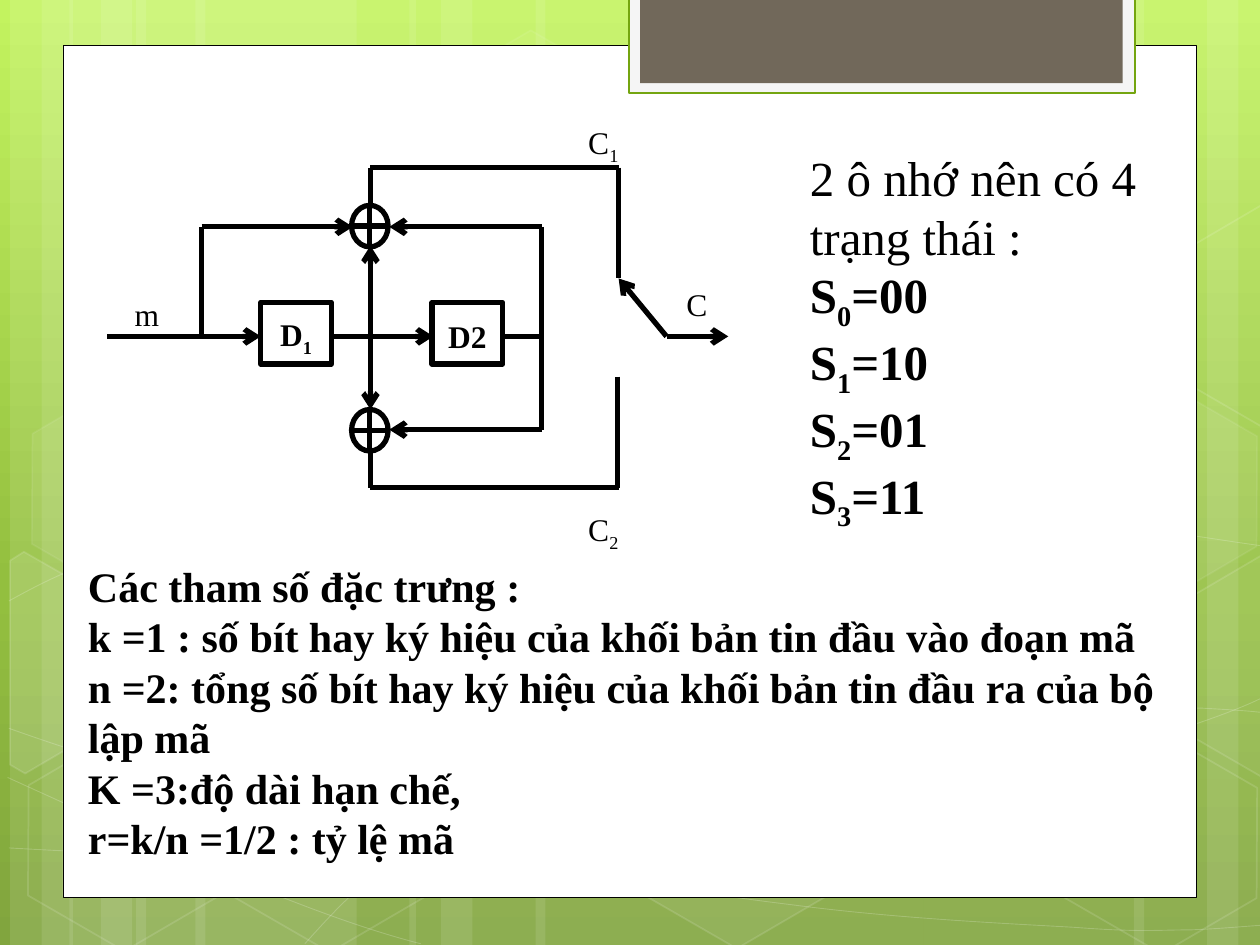
from copy import deepcopy
from dataclasses import dataclass

from lxml.etree import SubElement
from pptx import Presentation
from pptx.dml.color import RGBColor
from pptx.enum.shapes import MSO_CONNECTOR, MSO_SHAPE
from pptx.enum.text import MSO_ANCHOR, MSO_AUTO_SIZE, PP_ALIGN
from pptx.oxml.ns import qn
from pptx.util import Inches, Pt


@dataclass(frozen=True)
class Theme:
    font: str = "Times New Roman"
    ink: RGBColor = RGBColor(0, 0, 0)
    white: RGBColor = RGBColor(255, 255, 255)
    tab_edge: RGBColor = RGBColor.from_string("74A510")
    tab_frame: RGBColor = RGBColor.from_string("F5F5F5")
    tab: RGBColor = RGBColor.from_string("71685A")
    gradient: tuple = ((0, "C3F35F"), (0.62, "93BF3F"), (1, "81A53E"))
    label: int = 18
    parameters: int = 24
    states: int = 28
    wire: int = 3


theme = Theme()


def paint(shape, fill=None, line=None, width=1, fill_alpha=100, line_alpha=100):
    shape.shadow.inherit = False
    for part, color, alpha in ((shape.fill, fill, fill_alpha), (shape.line.fill, line, line_alpha)):
        if color is None or alpha == 0:
            part.background()
            continue
        part.solid()
        part.fore_color.rgb = color
        if alpha < 100:
            rgb = part._xPr.find(qn("a:solidFill"))[0]
            SubElement(rgb, qn("a:alpha"), val=str(alpha * 1000))
    if line is not None:
        shape.line.width = Pt(width)


def write(frame, paragraphs, size):
    """Each paragraph is (bold, runs); every second run is a subscript."""
    for number, (bold, runs) in enumerate(paragraphs):
        paragraph = frame.paragraphs[0] if number == 0 else frame.add_paragraph()
        for position, text in enumerate(runs):
            run = paragraph.add_run()
            run.text = text
            run.font.name = theme.font
            run.font.size = Pt(size)
            run.font.bold = bold
            run.font.color.rgb = theme.ink
            if position % 2:
                run.font._element.set("baseline", "-25000")


prs = Presentation()
prs.slide_width, prs.slide_height = Inches(10), Inches(7.5)
slide = prs.slides.add_slide(prs.slide_layouts[6])
shapes = slide.shapes

# Green gradient background
backdrop = slide.background.fill
backdrop.gradient()
backdrop.gradient_angle = 270
stop_list = slide._element.find(".//" + qn("a:gsLst"))
stop_list.append(deepcopy(stop_list[0]))
for stop, (position, color) in zip(backdrop.gradient_stops, theme.gradient):
    stop.position = position
    stop.color.rgb = RGBColor.from_string(color)

# Translucent vertical bands
for left, width in (
    (1.08, 1.75), (0.08, 0.5), (0.33, 0.83), (1.55, 1.75), (0.55, 0.5), (0.8, 0.83),
    (7.33, 1.75), (9.58, 0.5), (9, 0.83), (4.25, 3.08), (3.25, 0.5), (3.5, 0.83),
):
    band = shapes.add_shape(MSO_SHAPE.RECTANGLE, Inches(left), 0, Inches(width), prs.slide_height)
    paint(band, theme.white, fill_alpha=10)

# Thin arcs: a start point, then cubic segments of two controls and an end
for arc in (
    ((0.07, 6.73), (0.61, 6.76), (1.15, 6.79), (1.9, 6.78), (2.65, 6.77), (3.58, 6.75), (4.58, 6.65),
     (5.58, 6.55), (7, 6.36), (7.92, 6.17), (8.83, 5.98), (9.77, 5.68), (10.07, 5.51)),
    ((0.07, 4.77), (0.36, 4.61), (0.65, 4.46), (1.21, 4.31), (1.78, 4.16), (2.59, 3.94), (3.47, 3.87),
     (4.36, 3.8), (5.44, 3.79), (6.54, 3.87), (7.64, 3.95), (9.47, 4.26), (10.07, 4.34)),
    ((0.06, 6.17), (1.27, 6.72), (2.47, 7.27), (3.34, 7.49)),
    ((0.07, 5.78), (0.38, 5.89), (0.7, 6), (1.28, 6.16), (1.86, 6.31), (2.73, 6.56), (3.57, 6.73),
     (4.4, 6.9), (5.45, 7.08), (6.28, 7.18), (7.11, 7.29), (8, 7.33), (8.53, 7.36),
     (9.05, 7.4), (9.19, 7.38), (9.45, 7.38), (9.71, 7.37), (9.89, 7.35), (10.07, 7.34)),
    ((2.42, 7.49), (2.6, 7.29), (2.78, 7.09), (3.02, 6.91), (3.26, 6.73), (3.6, 6.53), (3.88, 6.39),
     (4.16, 6.25), (4.33, 6.19), (4.7, 6.09), (5.06, 5.99), (5.73, 5.85), (6.08, 5.78),
     (6.44, 5.71), (6.49, 5.71), (6.8, 5.69), (7.11, 5.66), (7.6, 5.63), (7.94, 5.62),
     (8.29, 5.61), (8.86, 5.62), (8.86, 5.62), (9.08, 5.62), (9.31, 5.62), (9.53, 5.62),
     (9.71, 5.63), (9.88, 5.64), (9.97, 5.65), (10.06, 5.66), (10.03, 5.65), (10.06, 5.66)),
):
    start, *others = [(Inches(x), Inches(y)) for x, y in arc]
    builder = shapes.build_freeform(*start)
    builder.add_line_segments(others, close=False)
    curve = builder.convert_to_shape()
    outline = curve._element.find(".//" + qn("a:path"))
    segments = outline.findall(qn("a:lnTo"))
    for first in range(0, len(segments), 3):
        cubic = SubElement(outline, qn("a:cubicBezTo"))
        for segment in segments[first:first + 3]:
            cubic.append(segment[0])
            outline.remove(segment)
    paint(curve, line=theme.white, width=0.5, line_alpha=20)

# Hexagons, then the ones cut off by the slide edge
for left, top, fill_alpha, line_alpha in (
    (3.34, 0.36, 4, 8), (4.97, 5.89, 6, 12), (0.11, 5.91, 0, 12), (0.14, 3.12, 7, 8),
    (1.74, 5.92, 0, 12), (7.53, 4.53, 10, 12), (8.34, 5.93, 0, 12), (8.34, 3.14, 7, 8),
):
    hexagon = shapes.add_shape(MSO_SHAPE.HEXAGON, Inches(left), Inches(top), Inches(1.75), Inches(1.52))
    hexagon.adjustments[0] = 0.285
    hexagon.rotation = 30
    paint(hexagon, theme.white, theme.white, 1, fill_alpha, line_alpha)

for fill_alpha, corners in (
    (10, ((0.08, 4.45), (0.19, 4.38), (0.96, 4.82), (0.95, 5.7), (0.2, 6.14), (0.08, 6.07))),
    (4, ((9.26, 4.85), (10.01, 4.41), (10.09, 4.46), (10.09, 6.13), (10.02, 6.17), (9.26, 5.73))),
    (0, ((9.26, 2.07), (10.01, 1.63), (10.1, 1.68), (10.09, 3.35), (10.02, 3.39), (9.26, 2.95))),
):
    start, *others = [(Inches(x), Inches(y)) for x, y in corners]
    builder = shapes.build_freeform(*start)
    builder.add_line_segments(others)
    paint(builder.convert_to_shape(), theme.white, theme.white, 1, fill_alpha, 12)

# White panel and the tab hanging from the top
for area, fill, line, width in (
    ((0.5, 0.36, 9, 6.76), theme.white, theme.ink, 0.5),
    ((4.99, -0.02, 4.02, 0.76), theme.tab_frame, theme.tab_edge, 1.25),
    ((5.08, -0.02, 3.83, 0.68), theme.tab, None, 0),
):
    paint(shapes.add_shape(MSO_SHAPE.RECTANGLE, *map(Inches, area)), fill, line, width)

# Encoder: two delay cells and two adders
for left, runs in ((2.07, ("D", "1")), (3.43, ("D2",))):
    delay = shapes.add_shape(MSO_SHAPE.RECTANGLE, Inches(left), Inches(2.4), Inches(0.56), Inches(0.49))
    paint(delay, theme.white, theme.ink, theme.wire)
    delay.text_frame.vertical_anchor = MSO_ANCHOR.MIDDLE
    write(delay.text_frame, [(True, runs)], theme.label)
    paragraph = delay.text_frame.paragraphs[0]
    paragraph.alignment = PP_ALIGN.CENTER
    paragraph.line_spacing = 1.15
    paragraph.space_after = Pt(10)

for top in (1.63, 3.25):
    adder = shapes.add_shape(MSO_SHAPE.FLOWCHART_OR, Inches(2.79), Inches(top), Inches(0.29), Inches(0.33))
    paint(adder, theme.white, theme.ink, theme.wire)

# Wires, which meet the delay cells just below mid-height
for *ends, arrow in (
    (0.85, 2.67, 2.07, 2.67, True),
    (2.63, 2.67, 3.44, 2.67, True),
    (4, 2.67, 4.3, 2.67, False),
    (1.6, 1.8, 1.6, 2.67, False),
    (1.6, 1.8, 2.8, 1.8, True),
    (2.94, 2.67, 2.94, 1.95, True),
    (2.94, 2.69, 2.94, 3.25, True),
    (4.3, 1.8, 4.3, 3.41, False),
    (4.3, 1.8, 3.09, 1.8, True),
    (4.3, 3.41, 3.09, 3.41, True),
    (2.94, 1.33, 2.94, 1.62, False),
    (2.94, 3.58, 2.94, 3.87, False),
    (2.94, 1.33, 4.91, 1.33, False),
    (2.94, 3.87, 4.91, 3.87, False),
    (4.91, 1.33, 4.91, 2.21, False),
    (4.9, 2.99, 4.9, 3.87, False),
    (5.29, 2.67, 4.91, 2.21, True),
    (5.29, 2.67, 5.78, 2.67, True),
):
    wire = shapes.add_connector(MSO_CONNECTOR.STRAIGHT, *map(Inches, ends))
    wire.line.color.rgb = theme.ink
    wire.line.width = Pt(theme.wire)
    if arrow:
        SubElement(wire.line._get_or_add_ln(), qn("a:tailEnd"), type="arrow")
    SubElement(wire._element.spPr, qn("a:effectLst"))

# Signal labels, code parameters and the list of states
parameters = (
    "Các tham số đặc trưng :",
    "k =1 : số bít hay ký hiệu của khối bản tin đầu vào đoạn mã",
    "n =2: tổng số bít hay ký hiệu của khối bản tin đầu ra của bộ lập mã",
    "K =3:độ dài hạn chế,",
    "r=k/n =1/2 : tỷ lệ mã",
)
states = [(True, ("S", str(index), "=" + bits)) for index, bits in enumerate(("00", "10", "01", "11"))]
for area, wrap, size, paragraphs in (
    ((0.97, 2.29, 0.4, 0.4), False, theme.label, [(False, ("m",))]),
    ((4.57, 0.93, 0.45, 0.4), False, theme.label, [(False, ("C", "1"))]),
    ((4.57, 4, 0.45, 0.4), False, theme.label, [(False, ("C", "2"))]),
    ((5.35, 2.21, 0.37, 0.4), False, theme.label, [(False, ("C",))]),
    ((0.6, 4.4, 9, 2.93), True, theme.parameters, [(True, (text,)) for text in parameters]),
    ((6.33, 1.12, 3.17, 3.87), True, theme.states, [(False, ("2 ô nhớ nên có 4 trạng thái :",)), *states]),
):
    frame = shapes.add_textbox(*map(Inches, area)).text_frame
    frame.word_wrap = wrap
    frame.auto_size = MSO_AUTO_SIZE.SHAPE_TO_FIT_TEXT
    write(frame, paragraphs, size)

prs.save("out.pptx")
